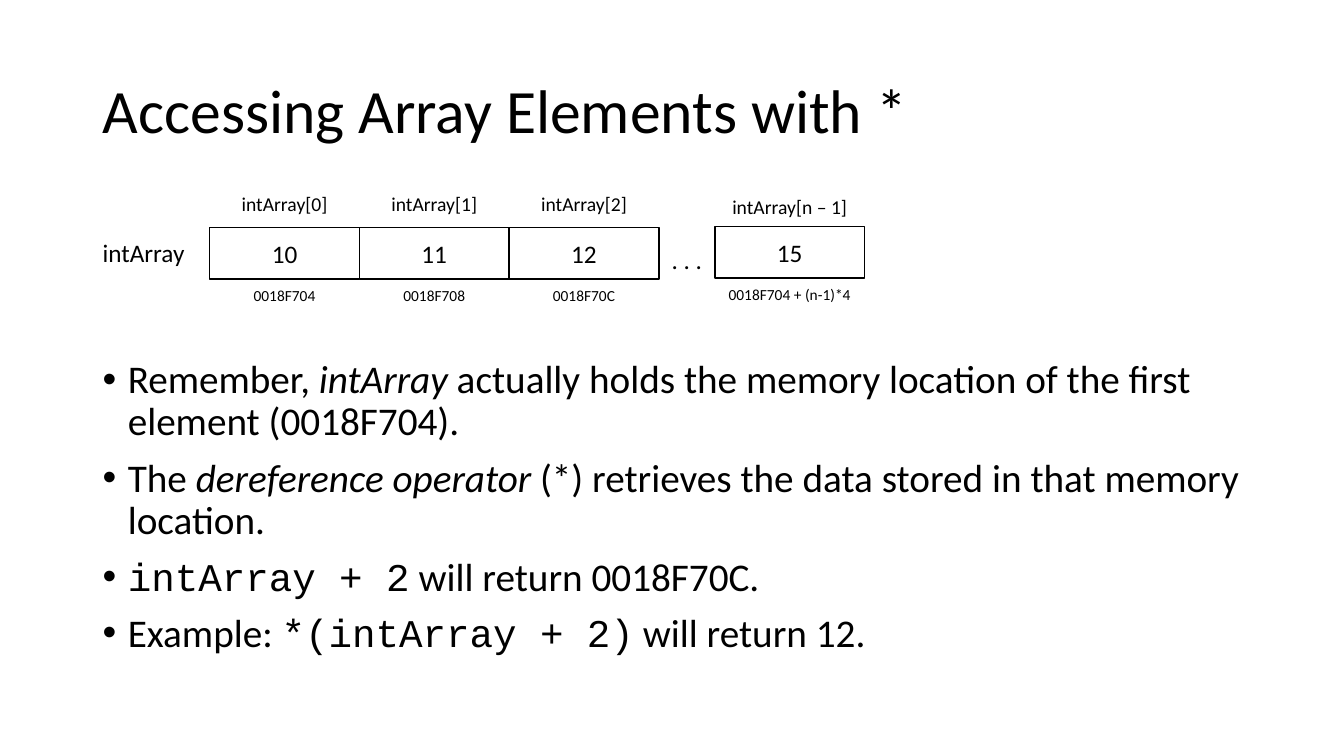
from lxml import etree
from pptx import Presentation
from pptx.dml.color import RGBColor
from pptx.enum.shapes import MSO_SHAPE
from pptx.enum.text import MSO_ANCHOR, MSO_AUTO_SIZE, PP_ALIGN
from pptx.oxml.ns import qn
from pptx.util import Inches, Pt

RECT = MSO_SHAPE.RECTANGLE
TOP, MIDDLE, BOTTOM = MSO_ANCHOR.TOP, MSO_ANCHOR.MIDDLE, MSO_ANCHOR.BOTTOM
LEFT, CENTER = PP_ALIGN.LEFT, PP_ALIGN.CENTER
NO_FIT = MSO_AUTO_SIZE.NONE

# Content
TITLE = "Accessing Array Elements with *"
NAME, DOTS = "intArray", ". . ."
CELLS = [  # label, value, address
    ("intArray[0]", "10", "0018F704"),
    ("intArray[1]", "11", "0018F708"),
    ("intArray[2]", "12", "0018F70C"),
    ("intArray[n – 1]", "15", "0018F704 + (n-1)*4"),
]
POINTS = [  # runs of (text, style)
    [("Remember, ", ""), ("intArray", "italic"),
     (" actually holds the memory location of the first element (0018F704).", "")],
    [("The ", ""), ("dereference operator", "italic"),
     (" (*) retrieves the data stored in that memory location.", "")],
    [("intArray + 2", "code"), (" will return 0018F70C.", "")],
    [("Example: ", ""), ("*(intArray + 2)", "code"), (" will return 12.", "")],
]

# Style and grid, in inches
COLORS = {"ink": "000000", "paper": "FFFFFF"}
FONT, CODE = "Calibri", "Courier New"
WIDE, HIGH = 13.33, 7.5
EDGE, SPAN = 0.92, 11.5
START, COL, GAP = 2.08, 1.485, 0.555
ROW, CELL = 2.26, 0.51
INDENT = 0.25


def color(name):
    return RGBColor.from_string(COLORS[name])


def add_run(para, text, size, style=""):
    run = para.add_run()
    run.text = text
    font = run.font
    font.size = Pt(size)
    font.name = CODE if style == "code" else FONT
    font.italic = style == "italic"
    font.color.rgb = color("ink")


def set_frame(shape, anchor):
    frame = shape.text_frame
    frame.word_wrap = True
    frame.auto_size = NO_FIT
    frame.vertical_anchor = anchor
    return frame


def write(shape, text, size, align=CENTER, anchor=TOP):
    para = set_frame(shape, anchor).paragraphs[0]
    para.alignment = align
    add_run(para, text, size)
    return para


def add_box(x, y, w, h):
    return slide.shapes.add_textbox(*map(Inches, (x, y, w, h)))


def add_cell(x, y, text):
    cell = slide.shapes.add_shape(RECT, *map(Inches, (x, y, COL, CELL)))
    cell.shadow.inherit = False
    cell.fill.solid()
    cell.fill.fore_color.rgb = color("paper")
    cell.line.color.rgb = color("ink")
    cell.line.width = Pt(1)
    write(cell, text, 18, anchor=MIDDLE)


def add_bullet(para):
    props = para._p.get_or_add_pPr()
    props.set("marL", str(Inches(INDENT)))
    props.set("indent", str(-Inches(INDENT)))
    font = etree.SubElement(props, qn("a:buFont"))
    font.set("typeface", "Arial")
    etree.SubElement(props, qn("a:buChar")).set("char", "•")


deck = Presentation()
deck.slide_width, deck.slide_height = Inches(WIDE), Inches(HIGH)
slide = deck.slides.add_slide(deck.slide_layouts[5])

# Title
title = slide.shapes.title
title.left, title.top = Inches(EDGE), Inches(0.4)
title.width, title.height = Inches(SPAN), Inches(1.45)
write(title, TITLE, 44, LEFT, MIDDLE).line_spacing = 0.9

# Bullet points
body = set_frame(add_box(EDGE, 3.52, SPAN, 3.23), TOP)
for i, runs in enumerate(POINTS):
    para = body.add_paragraph() if i else body.paragraphs[0]
    para.line_spacing = 0.9
    para.space_before = Pt(10)
    add_bullet(para)
    for text, style in runs:
        add_run(para, text, 28, style)

# Array: the last cell stands apart, after the dots
last = len(CELLS) - 1
for i, (label, value, place) in enumerate(CELLS):
    apart = i == last
    x = START + i * COL + apart * GAP
    y = ROW - apart * 0.01
    add_cell(x, y, value)
    add_box_y = 1.88 if apart else 1.85
    write(add_box(x, add_box_y, COL, 0.34), label, 14)
    write(add_box(x, y + 0.53, COL, 0.29), place, 11)

write(add_box(START + last * COL, 2.37, GAP, 0.4), DOTS, 18, anchor=BOTTOM)
write(add_box(EDGE, 2.31, 1.07, 0.4), NAME, 18, LEFT)

deck.save("out.pptx")
